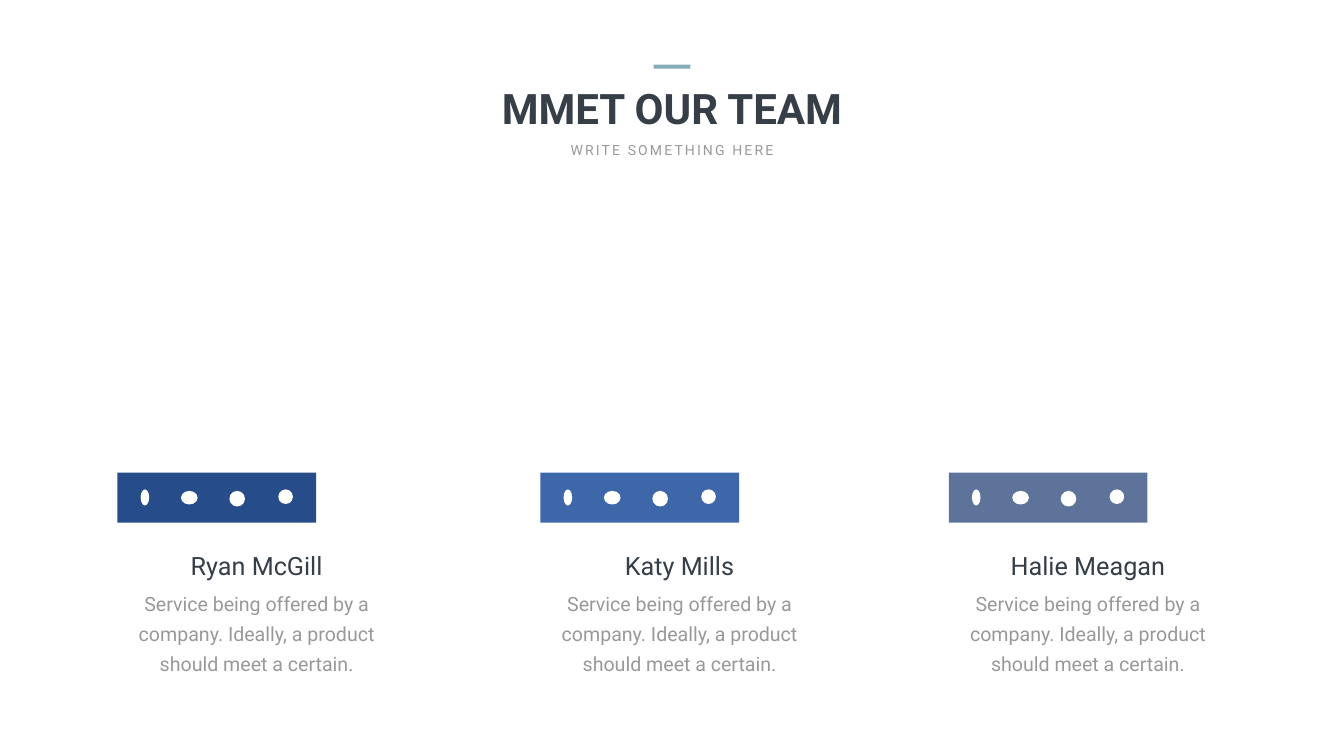
from pptx import Presentation
from pptx.dml.color import RGBColor
from pptx.enum.shapes import MSO_SHAPE
from pptx.enum.text import MSO_ANCHOR, MSO_AUTO_SIZE, PP_ALIGN
from pptx.util import Inches, Pt

TITLE = "MMET OUR TEAM"
SUBTITLE = "WRITE SOMETHING HERE"
DESCRIPTION = "Service being offered by a company. Ideally, a product should meet a certain."
TEAM = [
    {"name": "Ryan McGill", "left": 2.33, "color": "264D89"},
    {"name": "Katy Mills", "left": 10.72, "color": "3E67AA"},
    {"name": "Halie Meagan", "left": 18.82, "color": "5D739A"},
]
SOCIAL_ICONS = [
    (0.46, 0.33, 0.17, 0.32),
    (1.26, 0.36, 0.33, 0.27),
    (2.22, 0.36, 0.31, 0.31),
    (3.19, 0.33, 0.29, 0.29),
]

THEME = {
    "font": "Roboto",
    "dark": "363E48",
    "gray": "999999",
    "accent": "84ACB6",
    "white": "FFFFFF",
    "title_size": 60,
    "subtitle_size": 20,
    "name_size": 36,
    "description_size": 28,
}

SLIDE_WIDTH, SLIDE_HEIGHT = 26.66, 15
CENTER = SLIDE_WIDTH / 2
BAR_TOP, BAR_WIDTH, BAR_HEIGHT = 9.38, 3.94, 0.99
TEXT_OFFSET = 2.76


def add_text(slide, text, center, top, width, height, size, color,
             bold=False, wrap=True, line_spacing=None, tracking=None, shape=None):
    box = [Inches(value) for value in (center - width / 2, top, width, height)]
    if shape is None:
        shape = slide.shapes.add_textbox(*box)
    else:
        shape.left, shape.top, shape.width, shape.height = box
    frame = shape.text_frame
    frame.word_wrap = wrap
    frame.auto_size = MSO_AUTO_SIZE.NONE
    frame.vertical_anchor = MSO_ANCHOR.TOP
    paragraph = frame.paragraphs[0]
    paragraph.alignment = PP_ALIGN.CENTER
    if line_spacing:
        paragraph.line_spacing = Pt(line_spacing)
    run = paragraph.add_run()
    run.text = text
    run.font.name = THEME["font"]
    run.font.size = Pt(size)
    run.font.bold = bold
    run.font.color.rgb = RGBColor.from_string(color)
    if tracking:
        run._r.get_or_add_rPr().set("spc", str(tracking * 100))


def add_block(slide, kind, left, top, width, height, color):
    shape = slide.shapes.add_shape(
        kind, Inches(left), Inches(top), Inches(width), Inches(height))
    shape.shadow.inherit = False
    shape.fill.solid()
    shape.fill.fore_color.rgb = RGBColor.from_string(color)
    shape.line.fill.background()


def add_header(slide):
    add_text(slide, TITLE, CENTER, 1.59, 10.31, 1.11, THEME["title_size"],
             THEME["dark"], bold=True, shape=slide.shapes.title)
    add_text(slide, SUBTITLE, CENTER, 2.75, 4.35, 0.44, THEME["subtitle_size"],
             THEME["gray"], wrap=False, tracking=3)
    add_block(slide, MSO_SHAPE.RECTANGLE, CENTER - 0.73 / 2, 1.28, 0.73, 0.08,
              THEME["accent"])


def add_member(slide, member):
    left = member["left"]
    add_block(slide, MSO_SHAPE.RECTANGLE, left, BAR_TOP, BAR_WIDTH, BAR_HEIGHT,
              member["color"])
    for offset_x, offset_y, width, height in SOCIAL_ICONS:
        add_block(slide, MSO_SHAPE.OVAL, left + offset_x, BAR_TOP + offset_y,
                  width, height, THEME["white"])
    center = left + TEXT_OFFSET
    add_text(slide, member["name"], center, 10.86, 3.33, 0.71,
             THEME["name_size"], THEME["dark"], wrap=False)
    add_text(slide, DESCRIPTION, center, 11.57, 4.94, 1.84,
             THEME["description_size"], THEME["gray"], line_spacing=43)


def main():
    presentation = Presentation()
    presentation.slide_width = Inches(SLIDE_WIDTH)
    presentation.slide_height = Inches(SLIDE_HEIGHT)
    slide = presentation.slides.add_slide(presentation.slide_layouts[5])
    slide.background.fill.solid()
    slide.background.fill.fore_color.rgb = RGBColor.from_string(THEME["white"])
    add_header(slide)
    for member in TEAM:
        add_member(slide, member)
    presentation.save("out.pptx")


if __name__ == "__main__":
    main()
